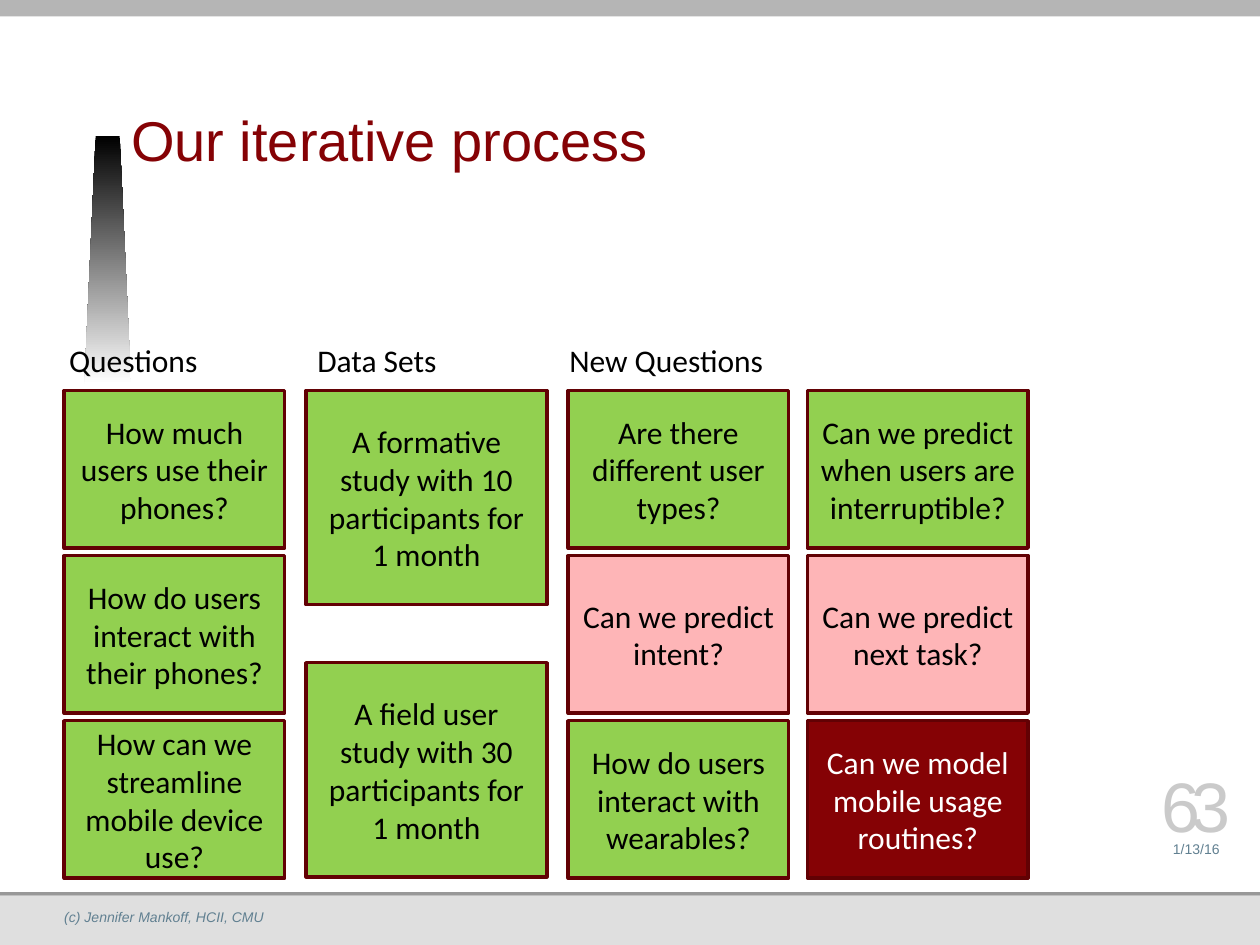
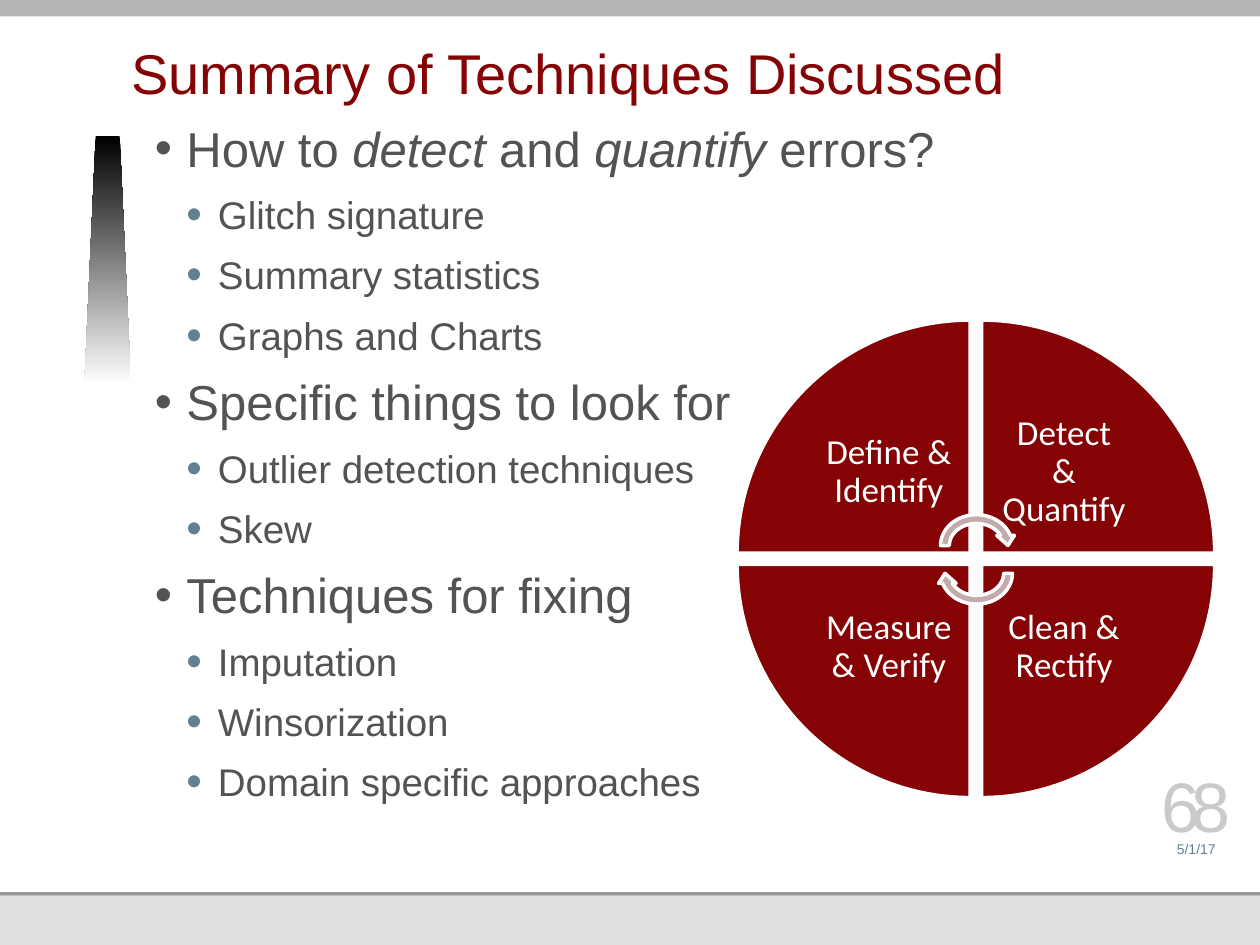
from lxml.etree import SubElement
from pptx import Presentation
from pptx.dml.color import RGBColor
from pptx.enum.shapes import MSO_SHAPE
from pptx.enum.text import MSO_ANCHOR, MSO_AUTO_SIZE, PP_ALIGN
from pptx.oxml.ns import qn
from pptx.util import Inches, Pt

COLS, ROWS = 100, 75
RED, EDGE, GREEN, PINK = "850205", "620104", "92D050", "FEB5B7"
GREY, SLATE, PALE, WHITE, BLACK = "535353", "618091", "CACACA", "FFFFFF", "000000"


def color(code):
    return RGBColor.from_string(code)


class Deck:
    def __init__(self):
        self.prs = Presentation()
        self.prs.slide_width, self.prs.slide_height = Inches(10), Inches(7.5)
        self.slide = None

    def place(self, x, y, w, h):
        col, row = self.prs.slide_width / COLS, self.prs.slide_height / ROWS
        return [round(v) for v in (x * col, y * row, w * col, h * row)]

    def start(self, layout, title, spot, number, date):
        self.slide = self.prs.slides.add_slide(self.prs.slide_layouts[layout])
        if len(self.prs.slides) == 1:
            self.theme()
        head = self.slide.shapes.title
        self.move(head, spot)
        head.text_frame.text = title
        self.frame(head, MSO_ANCHOR.BOTTOM, (0, 0, 0, 0.05))
        self.style(head, 32, RED, "Arial", PP_ALIGN.LEFT)
        head.text_frame.paragraphs[0].line_spacing = Pt(34)
        self.label(date, (91.3, 65.8, 7.3, 2.2), 8, SLATE)
        page = self.label(number, (91.3, 61.6, 7.3, 5.6), 40, PALE)
        for run in page.text_frame.paragraphs[0].runs:
            run.font._element.set("spc", "-500")

    def theme(self):
        bands = [self.shape(MSO_SHAPE.RECTANGLE, (0, y, COLS, h), fill)
                 for y, h, fill in ((0, 1.3, "B5B5B5"), (70.8, 0.3, "989898"),
                                    (71.1, 3.9, "DFDFDF"))]
        tree = self.prs.slide_master.element.cSld.spTree
        for item in bands + [self.beam()]:
            tree.append(item.element)

    def beam(self):
        tenth = self.prs.slide_width / COLS / 10
        pen = self.slide.shapes.build_freeform(67, 305, scale=tenth)
        pen.add_line_segments([(76, 108), (95, 108), (104, 305)], close=True)
        shape = pen.convert_to_shape()
        shape.shadow.inherit = False
        shape.line.fill.background()
        shape.fill.gradient()
        shape.fill.gradient_angle = 270
        for stop, code in zip(shape.fill.gradient_stops, (BLACK, WHITE)):
            stop.color.rgb = color(code)
        return shape

    def move(self, shape, spot):
        shape.left, shape.top, shape.width, shape.height = self.place(*spot)

    def frame(self, shape, anchor, inset, wrap=True):
        text = shape.text_frame
        text.word_wrap = wrap
        text.auto_size = MSO_AUTO_SIZE.NONE
        text.vertical_anchor = anchor
        (text.margin_left, text.margin_top,
         text.margin_right, text.margin_bottom) = map(Inches, inset)

    def style(self, shape, size, code, font="Calibri", align=PP_ALIGN.CENTER):
        for para in shape.text_frame.paragraphs:
            para.alignment = align
            for run in para.runs:
                run.font.name, run.font.size = font, Pt(size)
                run.font.color.rgb = color(code)

    def shape(self, kind, spot, fill, line=None, turn=0):
        shape = self.slide.shapes.add_shape(kind, *self.place(*spot))
        shape.shadow.inherit = False
        shape.rotation = turn
        shape.fill.solid()
        shape.fill.fore_color.rgb = color(fill)
        if line:
            shape.line.color.rgb = color(line)
            shape.line.width = Pt(2)
        else:
            shape.line.fill.background()
        return shape

    def card(self, text, spot, fill):
        shape = self.shape(MSO_SHAPE.RECTANGLE, spot, fill, EDGE)
        shape.text_frame.text = text
        self.frame(shape, MSO_ANCHOR.MIDDLE, (0.1, 0.05, 0.1, 0.05))
        self.style(shape, 18, WHITE if fill == RED else BLACK)

    def label(self, text, spot, size, code, font="Arial", align=PP_ALIGN.CENTER,
              anchor=MSO_ANCHOR.BOTTOM, inset=(0, 0, 0, 0), wrap=True):
        box = self.slide.shapes.add_textbox(*self.place(*spot))
        box.text_frame.text = text
        self.frame(box, anchor, inset, wrap)
        self.style(box, size, code, font, align)
        return box

    def bullet(self, para, level):
        props = para._p.get_or_add_pPr()
        props.set("marL", str(Inches(0.25 * (level + 1))))
        props.set("indent", str(Inches(-0.25)))
        tint = SubElement(props, qn("a:buClr"))
        SubElement(tint, qn("a:srgbClr"), val=SLATE if level else GREY)
        SubElement(props, qn("a:buSzPct"), val="115000" if level else "100000")
        SubElement(props, qn("a:buFont"), typeface="Arial")
        SubElement(props, qn("a:buChar"), char="•")

    def outline(self, items, spot):
        body = self.slide.placeholders[1]
        self.move(body, spot)
        self.frame(body, MSO_ANCHOR.TOP, (0, 0, 0, 0.05))
        text = body.text_frame
        for i, (level, line) in enumerate(items):
            para = text.add_paragraph() if i else text.paragraphs[0]
            para.level = level
            self.bullet(para, level)
            para.space_before, para.space_after = Pt(0), Pt(8)
            for j, part in enumerate(line.split("*")):
                run = para.add_run()
                run.text = part
                run.font.name, run.font.size = "Arial", Pt(22 if level else 28)
                run.font.italic = j % 2 == 1
                run.font.color.rgb = color(GREY)


def process(deck):
    deck.start(5, "Our iterative process", (10.4, 3.4, 68.7, 10.8), "63", "1/13/16")
    foot = deck.label("(c) Jennifer Mankoff, HCII, CMU", (5.1, 72.1, 84.3, 1.9), 8,
                      SLATE, align=PP_ALIGN.LEFT, anchor=MSO_ANCHOR.TOP)
    foot.text_frame.paragraphs[0].runs[0].font.italic = True
    for text, x, w in (("Questions", 4.5, 12.4), ("Data Sets", 24.2, 11.7),
                       ("New Questions", 44.2, 17.6)):
        deck.label(text, (x, 26.6, w, 4), 18, BLACK, "Calibri", PP_ALIGN.LEFT,
                   MSO_ANCHOR.TOP, (0.1, 0.05, 0.1, 0.05), False)
    stacks = (
        (5.1, 17.5, 12.5, 13.1, (
            ("How much users use their phones?", GREEN),
            ("How do users interact with their phones?", GREEN),
            ("How can we streamline mobile device use?", GREEN))),
        (24.3, 19.1, 17, 21.6, (
            ("A formative study with 10 participants for 1 month", GREEN),
            ("A field user study with 30 participants for 1 month", GREEN))),
        (45.1, 17.5, 12.5, 13.1, (
            ("Are there different user types?", GREEN),
            ("Can we predict intent?", PINK),
            ("How do users interact with wearables?", GREEN))),
        (64.1, 17.5, 12.5, 13.1, (
            ("Can we predict when users are interruptible?", GREEN),
            ("Can we predict next task?", PINK),
            ("Can we model mobile usage routines?", RED))))
    for x, w, h, step, cards in stacks:
        for row, (text, fill) in enumerate(cards):
            deck.card(text, (x, 31 + row * step, w, h), fill)


def summary(deck):
    deck.start(1, "Summary of Techniques Discussed", (10.4, -1.9, 84.6, 10.8),
               "68", "5/1/17")
    deck.outline((
        (0, "How to *detect *and *quantify *errors?"),
        (1, "Glitch signature"),
        (1, "Summary statistics"),
        (1, "Graphs and Charts"),
        (0, "Specific things to look for"),
        (1, "Outlier detection techniques"),
        (1, "Skew"),
        (0, "Techniques for fixing"),
        (1, "Imputation"),
        (1, "Winsorization"),
        (1, "Domain specific approaches")), (12.3, 9.4, 77.1, 47.9))
    wheel = (("Define & Identify", 0, 0), ("Detect & Quantify", 1, 0),
             ("Clean & Rectify", 1, 1), ("Measure & Verify", 0, 1))
    for i, (text, col, row) in enumerate(wheel):
        x, y = 58.5 + 19.4 * col, 25.4 + 19.4 * row
        deck.shape(MSO_SHAPE.PIE_WEDGE, (x, y, 18.5, 18.5), RED, WHITE, 90 * i)
        spot = (x + 5.5 * (1 - col), y + 5.5 * (1 - row), 13.1, 13.1)
        side = 0.16 if col else 0.14
        box = deck.label(text, spot, 20, WHITE, "Calibri",
                         anchor=MSO_ANCHOR.MIDDLE, inset=(side, 0.16, side, 0.16))
        box.text_frame.paragraphs[0].line_spacing = 0.9
    for y, turn in ((40.5, 0), (42.7, 180)):
        deck.shape(MSO_SHAPE.CIRCULAR_ARROW, (74.3, y, 6.4, 5.6), "C2ABAB", WHITE, turn)


def main():
    deck = Deck()
    process(deck)
    summary(deck)
    deck.prs.save("out.pptx")


if __name__ == "__main__":
    main()
